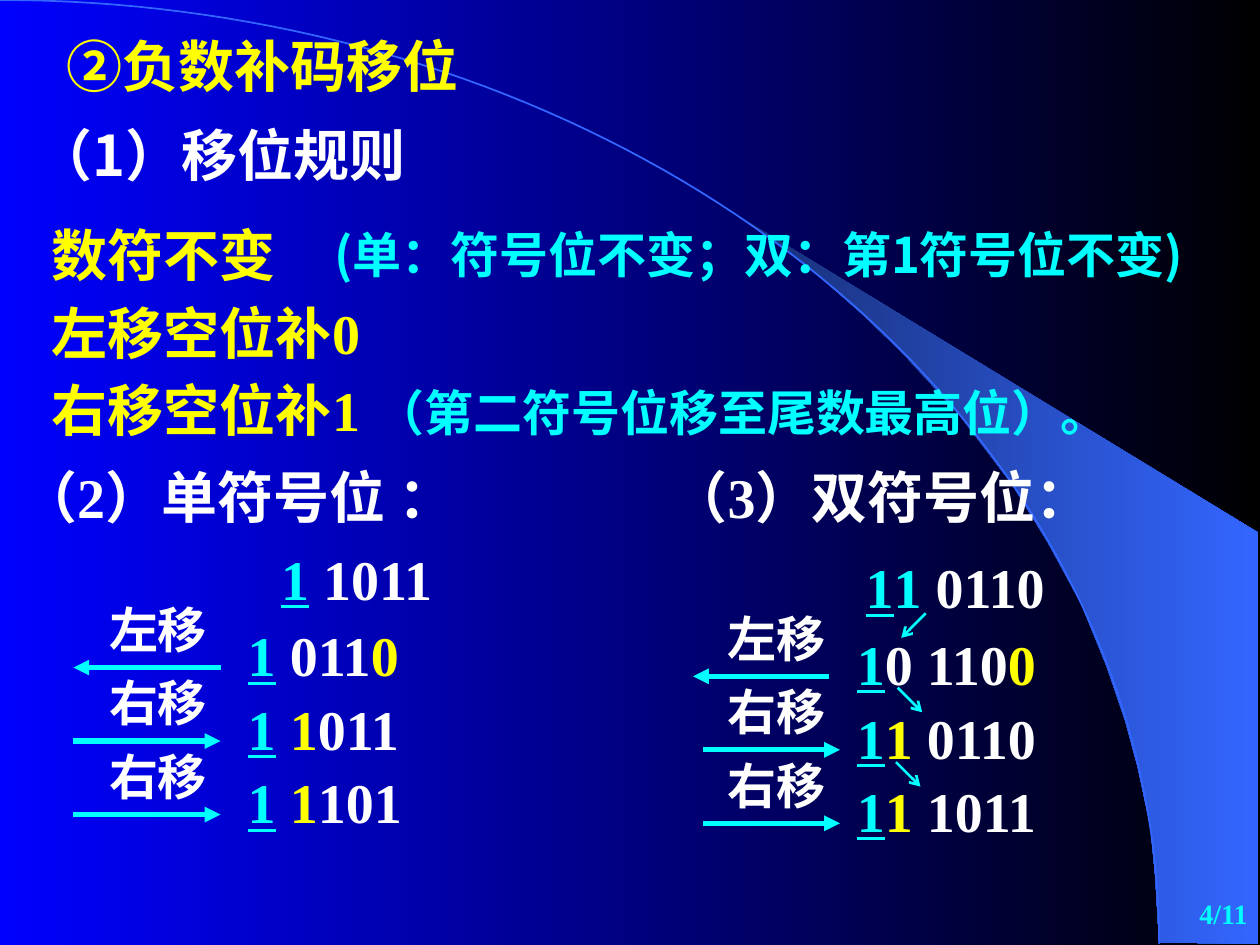
from math import cos, pi, sin

from lxml import etree
from pptx import Presentation
from pptx.dml.color import RGBColor
from pptx.enum.shapes import MSO_CONNECTOR
from pptx.enum.text import MSO_ANCHOR as ANCHOR, MSO_AUTO_SIZE as FIT, PP_ALIGN as AL
from pptx.oxml.ns import qn
from pptx.util import Pt

BLUE = RGBColor(0x00, 0x00, 0xFF)
BLACK = RGBColor(0x00, 0x00, 0x00)
NAVY = RGBColor(0x18, 0x2F, 0x76)
SKY = RGBColor(0x33, 0x66, 0xFF)
WHITE = RGBColor(0xFF, 0xFF, 0xFF)
YELLOW = RGBColor(0xFF, 0xFF, 0x00)
CYAN = RGBColor(0x00, 0xFF, 0xFF)
SERIF, SANS = "Times New Roman", "Noto Sans CJK SC"


def write(sp, box, paragraphs, size=32, font=SERIF, align=AL.LEFT,
          anchor=ANCHOR.TOP, gap=0):
    """Place sp at box and fill it; a run is (text, colour[, underlined])."""
    sp.left, sp.top, sp.width, sp.height = [Pt(v) for v in box]
    tf = sp.text_frame
    tf.word_wrap, tf.auto_size, tf.vertical_anchor = True, FIT.NONE, anchor
    for i, runs in enumerate(paragraphs):
        p = tf.paragraphs[0] if i == 0 else tf.add_paragraph()
        p.alignment = align
        p.space_before = Pt(gap if i else 0)
        for text, color, *underlined in runs:
            r = p.add_run()
            r.text = text
            r.font.size, r.font.bold, r.font.name = Pt(size), True, font
            r.font.color.rgb = color
            if underlined:
                r.font.underline = True
            etree.SubElement(r._r.get_or_add_rPr(), qn("a:ea"), typeface=SANS)
    return tf


def arrow(x1, y1, x2, y2, width, head):
    c = s.shapes.add_connector(MSO_CONNECTOR.STRAIGHT, Pt(x1), Pt(y1), Pt(x2), Pt(y2))
    c.line.color.rgb = CYAN
    c.line.width = Pt(width)
    etree.SubElement(c.line._get_or_add_ln(), qn("a:tailEnd"), type=head)
    etree.SubElement(c._element.spPr, qn("a:effectLst"))


prs = Presentation()
prs.slide_width, prs.slide_height = Pt(720), Pt(540)
s = prs.slides.add_slide(prs.slide_layouts[1])

# Background gradient
fill = s.background.fill
fill.gradient()
fill.gradient_angle = 0
for stop, color in zip(fill.gradient_stops, (BLUE, BLACK)):
    stop.color.rgb = color

# Swoosh and arc, behind all text
swoosh_pts = [(662.4, 538.6), (719.3, 539.3), (719.3, 304.6), (424.1, 124.6),
              (449.3, 143.3), (470.2, 159.8), (493.2, 180), (515.5, 201.6),
              (548.6, 237.6), (578.2, 276.5), (599, 310.3), (617.8, 344.9),
              (632.2, 380.2), (643, 411.8), (650.2, 438.5), (657.4, 472.3),
              (660.2, 501.1)]
STEPS = 80
arc_pts = [(662.4 * sin(pi / 2 * i / STEPS), 539.3 * (1 - cos(pi / 2 * i / STEPS)))
           for i in range(STEPS + 1)]
decor = []
for pts, closed in ((swoosh_pts, True), (arc_pts, False)):
    emu = [(Pt(x), Pt(y)) for x, y in pts]
    builder = s.shapes.build_freeform(*emu[0])
    builder.add_line_segments(emu[1:], close=closed)
    sp = builder.convert_to_shape()
    sp.shadow.inherit = False
    s.shapes._spTree.insert(2 + len(decor), sp._element)
    decor.append(sp)
swoosh, arc = decor
swoosh.line.fill.background()
swoosh.fill.gradient()
swoosh.fill.gradient_angle = 0
for stop, color in zip(swoosh.fill.gradient_stops, (NAVY, SKY)):
    stop.color.rgb = color
arc.fill.background()
arc.line.color.rgb = SKY
arc.line.width = Pt(1)

# Title and rules
write(s.shapes.title, (31, 14.4, 353, 46), [[("②负数补码移位", YELLOW)]], font=SANS)
rules = ["数符不变", "左移空位补0", "右移空位补1"]
tf = write(s.placeholders[1], (22.3, 122.4, 270, 136),
           [[(rule, YELLOW)] for rule in rules], gap=6)
for p in tf.paragraphs:
    pPr = p._p.get_or_add_pPr()
    pPr.set("marL", "0")
    pPr.set("indent", "0")
    etree.SubElement(pPr, qn("a:buNone"))

# Section headings
for x, y, text, font in ((13.7, 65.5, "（1）移位规则", SANS),
                         (5, 260.6, "（2）单符号位 ：", SERIF),
                         (376.6, 260.6, "（3）双符号位：", SERIF)):
    write(s.shapes.add_textbox(0, 0, 0, 0), (x, y, 300, 46), [[(text, WHITE)]], font=font)

# Notes beside the rules
for box, text, font in (
        ((164.2, 124.6, 538.6, 41), "(单：符号位不变；双：第1符号位不变)", SANS),
        ((199.4, 215.3, 450, 41), "（第二符号位移至尾数最高位）。", SERIF)):
    write(s.shapes.add_textbox(0, 0, 0, 0), box, [[(text, CYAN)]], 28, font, AL.CENTER)

# Shift examples: label x, (left, right) ends of each arrow, bits x, start x, drop, rows
SIGN = ("1", CYAN, True)
single = [[SIGN, (" 1011", WHITE)],
          [SIGN, (" 011", WHITE), ("0", YELLOW)],
          [SIGN, (" ", WHITE), ("1", YELLOW), ("011", WHITE)],
          [SIGN, (" ", WHITE), ("1", YELLOW), ("101", WHITE)]]
double = [[SIGN, ("1", CYAN), (" 0110", WHITE)],
          [SIGN, ("0 110", WHITE), ("0", YELLOW)],
          [SIGN, ("1", YELLOW), (" 0110", WHITE)],
          [SIGN, ("1", YELLOW), (" 1011", WHITE)]]
STEP = 42
for label_x, left_ends, right_ends, bits_x, start_x, drop, rows in (
        (48.2, (126, 42), (42, 126), 134.5, 153.5, 0, single),
        (401.8, (474, 396), (402, 480), 482.5, 487.5, 5, double)):
    tf = write(s.shapes.add_textbox(0, 0, 0, 0), (start_x, 321 + drop, 140, 30), rows[:1])
    tf.paragraphs[0].line_spacing = 0.6
    for i, (label, ends) in enumerate((("左移", left_ends), ("右移", right_ends),
                                       ("右移", right_ends))):
        y = drop + i * STEP
        write(s.shapes.add_textbox(0, 0, 0, 0), (label_x, 339 + y, 84.2, 41),
              [[(label, WHITE)]], 28, align=AL.CENTER)
        arrow(ends[0], 381.5 + y, ends[1], 381.5 + y, 3, "triangle")
        write(s.shapes.add_textbox(0, 0, 0, 0), (bits_x, 351.3 + y, 138, 46),
              [rows[i + 1]])

# Bit movement between the double-sign rows
for ends in ((529, 350.5, 515, 364.5), (513, 393, 527, 407), (512, 435.5, 526, 449.5)):
    arrow(*ends, 1.5, "arrow")

# Page number
write(s.shapes.add_textbox(0, 0, 0, 0), (570, 504, 150, 36), [[("4/11", CYAN)]], 16,
      align=AL.RIGHT, anchor=ANCHOR.MIDDLE)

prs.save("out.pptx")
